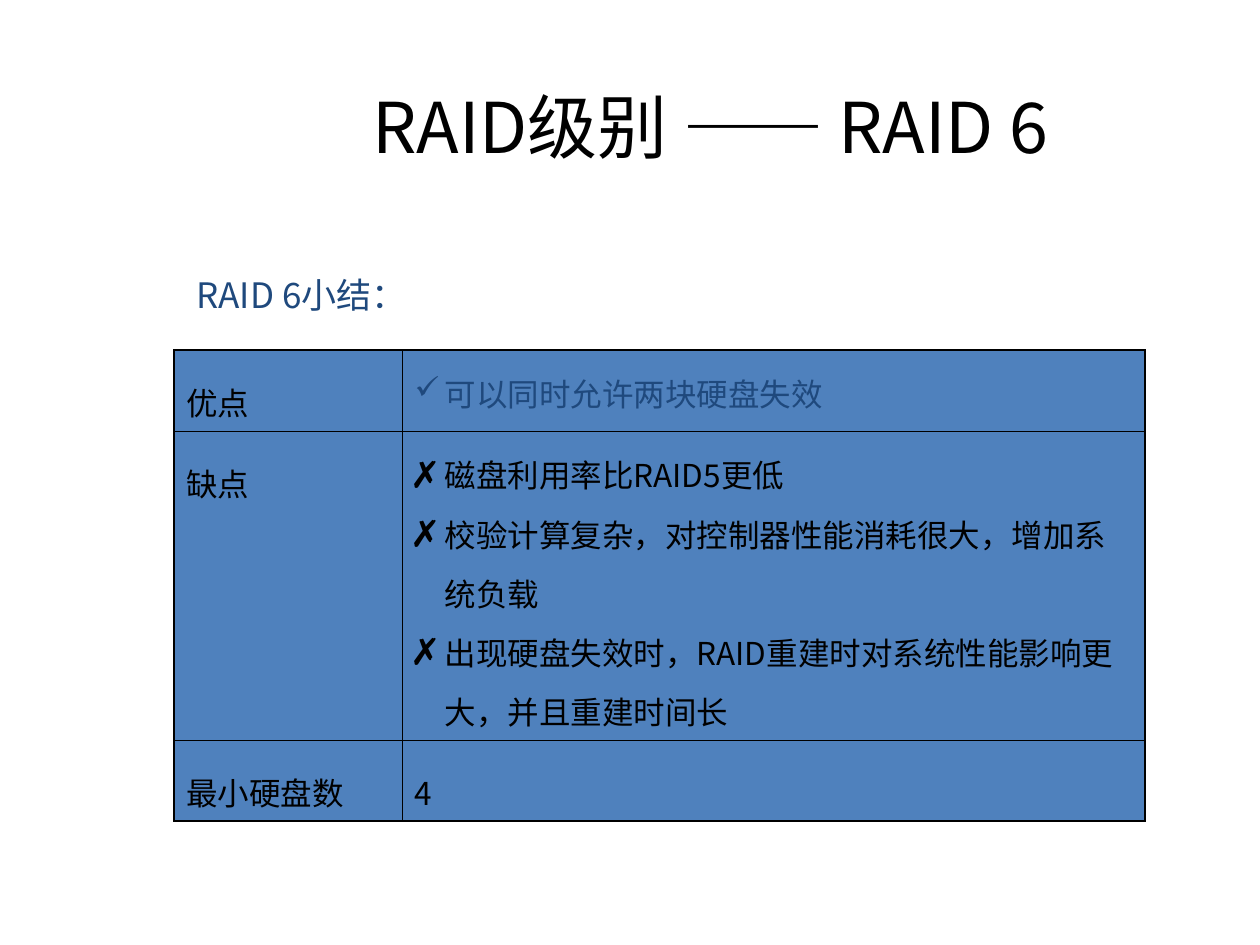
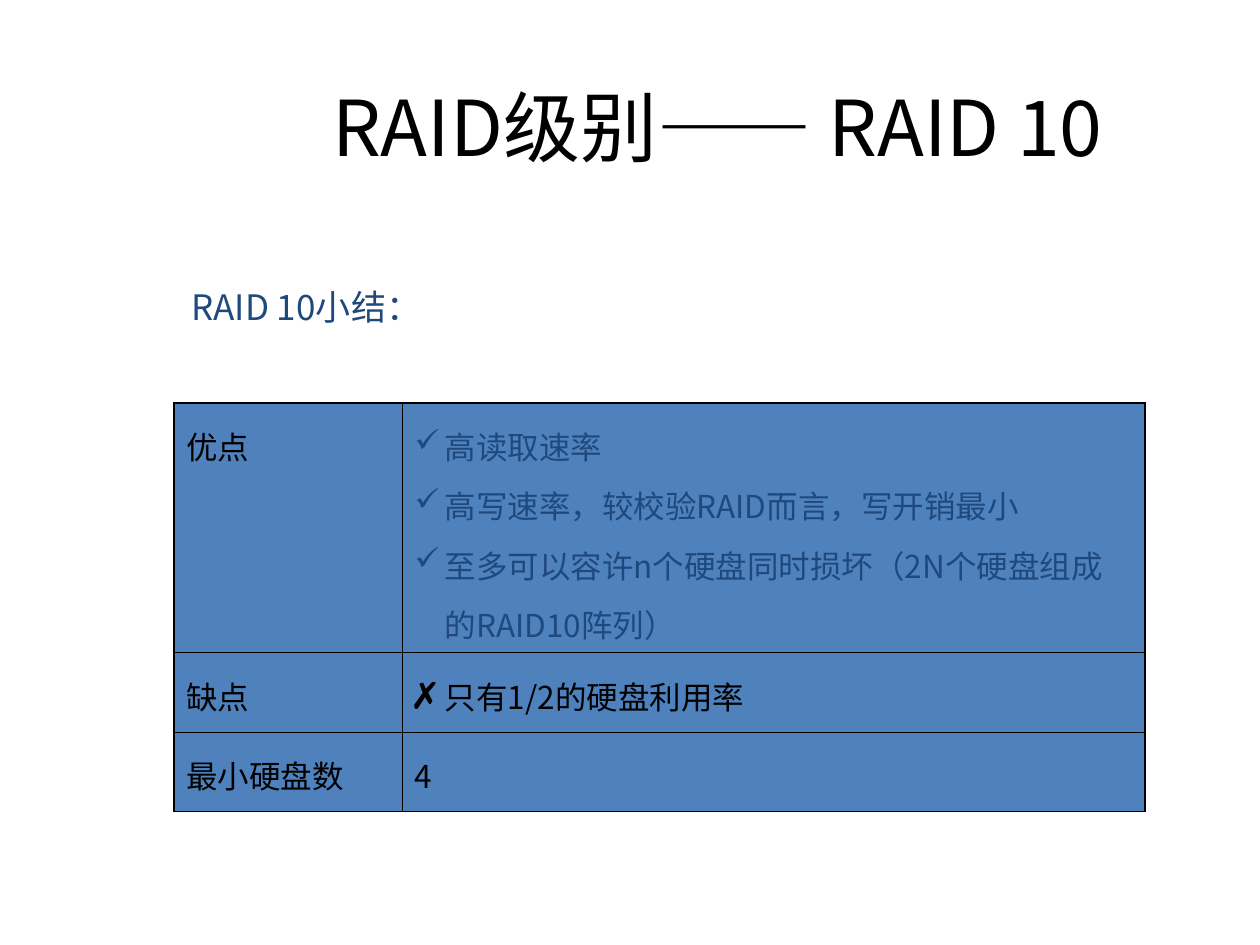
"""Two summary slides comparing RAID 6 and RAID 10."""
from lxml.etree import SubElement
from pptx import Presentation
from pptx.dml.color import RGBColor
from pptx.enum.text import MSO_ANCHOR as Anchor, MSO_AUTO_SIZE as AutoSize, PP_ALIGN as Align
from pptx.oxml.ns import qn
from pptx.util import Inches, Pt

BLACK = RGBColor(0x00, 0x00, 0x00)
NAVY = RGBColor(0x1F, 0x49, 0x7D)
BLUE = RGBColor(0x4F, 0x81, 0xBD)
WHITE = RGBColor(0xFF, 0xFF, 0xFF)
CJK, LATIN = "Noto Sans CJK SC", "Calibri"
WIDTH, HEIGHT = Inches(10), Inches(7.5)
COLUMNS, ROWS = 100, 75
OUTER, INNER = 1.08, 0.45
HANG = 2.4
BULLET_SPACING = 1.3
PRO, CON = ("✓", NAVY, 100), ("✗", BLACK, 150)
LABELS = ("优点", "缺点", "最小硬盘数")
LABEL_COLUMN, DETAIL_COLUMN = 18.1, 59


def across(columns):
    """Return the length of a number of grid columns."""
    return round(WIDTH * columns / COLUMNS)


def down(rows):
    """Return the length of a number of grid rows."""
    return round(HEIGHT * rows / ROWS)


def add_run(paragraph, text, size, color=BLACK, latin=CJK):
    """Add one run, with the CJK font for East Asian characters."""
    run = paragraph.add_run()
    run.text = text
    font = run.font
    font.size, font.bold, font.name = Pt(size), False, latin
    font.color.rgb = color
    SubElement(font._element, qn("a:ea"), typeface=CJK)


def add_bullet(paragraph, mark, color, percent):
    """Give a paragraph a hanging, coloured bullet mark."""
    props = paragraph._p.get_or_add_pPr()
    props.set("marL", str(across(HANG)))
    props.set("indent", str(-across(HANG)))
    SubElement(SubElement(props, qn("a:buClr")), qn("a:srgbClr"), val=str(color))
    SubElement(props, qn("a:buSzPct"), val=str(percent * 1000))
    SubElement(props, qn("a:buChar"), char=mark)


def add_title(slide, parts, size, right_margin):
    """Place the title and write its parts run by run."""
    title = slide.shapes.title
    title.left, title.top = across(15.3), down(6.8)
    title.width, title.height = across(84.7), down(6.3)
    frame = title.text_frame
    frame.auto_size, frame.vertical_anchor = AutoSize.NONE, Anchor.MIDDLE
    frame.margin_right = across(right_margin)
    paragraph = frame.paragraphs[0]
    paragraph.alignment = Align.CENTER
    for text, latin in zip(parts, (CJK, LATIN, CJK)):
        add_run(paragraph, text, size, latin=latin)


def add_heading(slide, text, left, top, width):
    """Add the navy heading above the table."""
    box = slide.shapes.add_textbox(across(left), down(top), across(width), down(4.4))
    box.text_frame.word_wrap = True
    box.text_frame.auto_size = AutoSize.SHAPE_TO_FIT_TEXT
    add_run(box.text_frame.paragraphs[0], text, 20, NAVY)


def style_cell(cell, row, column, last_row):
    """Fill a cell and rule it: heavy on the table's rim, fine inside."""
    props = cell._tc.get_or_add_tcPr()
    on_rim = {"L": column == 0, "R": column == 1, "T": row == 0, "B": row == last_row}
    for side, rim in on_rim.items():
        width = str(Pt(OUTER if rim else INNER))
        line = SubElement(props, qn(f"a:ln{side}"), w=width)
        SubElement(SubElement(line, qn("a:solidFill")), qn("a:srgbClr"), val=str(BLACK))
    cell.fill.solid()
    cell.fill.fore_color.rgb = BLUE


def write_cell(cell, lines, spacing, bullet=None):
    """Write lines as paragraphs, bulleted if a bullet is given."""
    frame = cell.text_frame
    for index, text in enumerate(lines):
        paragraph = frame.paragraphs[0] if index == 0 else frame.add_paragraph()
        if bullet:
            add_bullet(paragraph, *bullet)
        paragraph.line_spacing = BULLET_SPACING if bullet else spacing
        add_run(paragraph, text, 18, bullet[1] if bullet else BLACK)


def add_summary(slide, top, heights, spacing, pros, cons, disks):
    """Add the table of advantages, drawbacks and least disk count."""
    table = slide.shapes.add_table(
        len(LABELS), 2, across(13.8), down(top),
        across(LABEL_COLUMN + DETAIL_COLUMN), down(sum(heights))).table
    table.first_row = table.horz_banding = False
    for column, width in zip(table.columns, (LABEL_COLUMN, DETAIL_COLUMN)):
        column.width = across(width)
    details = ((pros, PRO), (cons, CON), ([disks], None))
    for row, (label, (lines, bullet)) in enumerate(zip(LABELS, details)):
        table.rows[row].height = down(heights[row])
        write_cell(table.cell(row, 0), [label], spacing)
        write_cell(table.cell(row, 1), lines, spacing, bullet)
        for column in range(2):
            style_cell(table.cell(row, column), row, column, len(LABELS) - 1)


def add_slide(deck):
    """Add a white title-only slide."""
    slide = deck.slides.add_slide(deck.slide_layouts[5])
    slide.background.fill.solid()
    slide.background.fill.fore_color.rgb = WHITE
    return slide


def main():
    """Build and save both slides."""
    deck = Presentation()
    deck.slide_width, deck.slide_height = WIDTH, HEIGHT

    raid6 = add_slide(deck)
    add_title(raid6, ("RAID级别 ", "—— ", "RAID 6"), 40, 3.5)
    add_summary(
        raid6, 27.8, (5.7, 20.5, 6.3), 1.5,
        ["可以同时允许两块硬盘失效"],
        ["磁盘利用率比RAID5更低",
         "校验计算复杂，对控制器性能消耗很大，增加系统负载",
         "出现硬盘失效时，RAID重建时对系统性能影响更大，并且重建时间长"],
        "4")
    add_heading(raid6, "RAID 6小结：", 14.6, 21.2, 20.1)

    raid10 = add_slide(deck)
    add_title(raid10, ("RAID级别", "—— ", "RAID 10"), 44, 2.4)
    add_summary(
        raid10, 32, (18.1, 6.3, 6.3), 1.3,
        ["高读取速率",
         "高写速率，较校验RAID而言，写开销最小",
         "至多可以容许n个硬盘同时损坏（2N个硬盘组成的RAID10阵列）"],
        ["只有1/2的硬盘利用率"],
        "4")
    add_heading(raid10, "RAID 10小结：", 14.2, 22.2, 22.1)

    deck.save("out.pptx")


if __name__ == "__main__":
    main()
